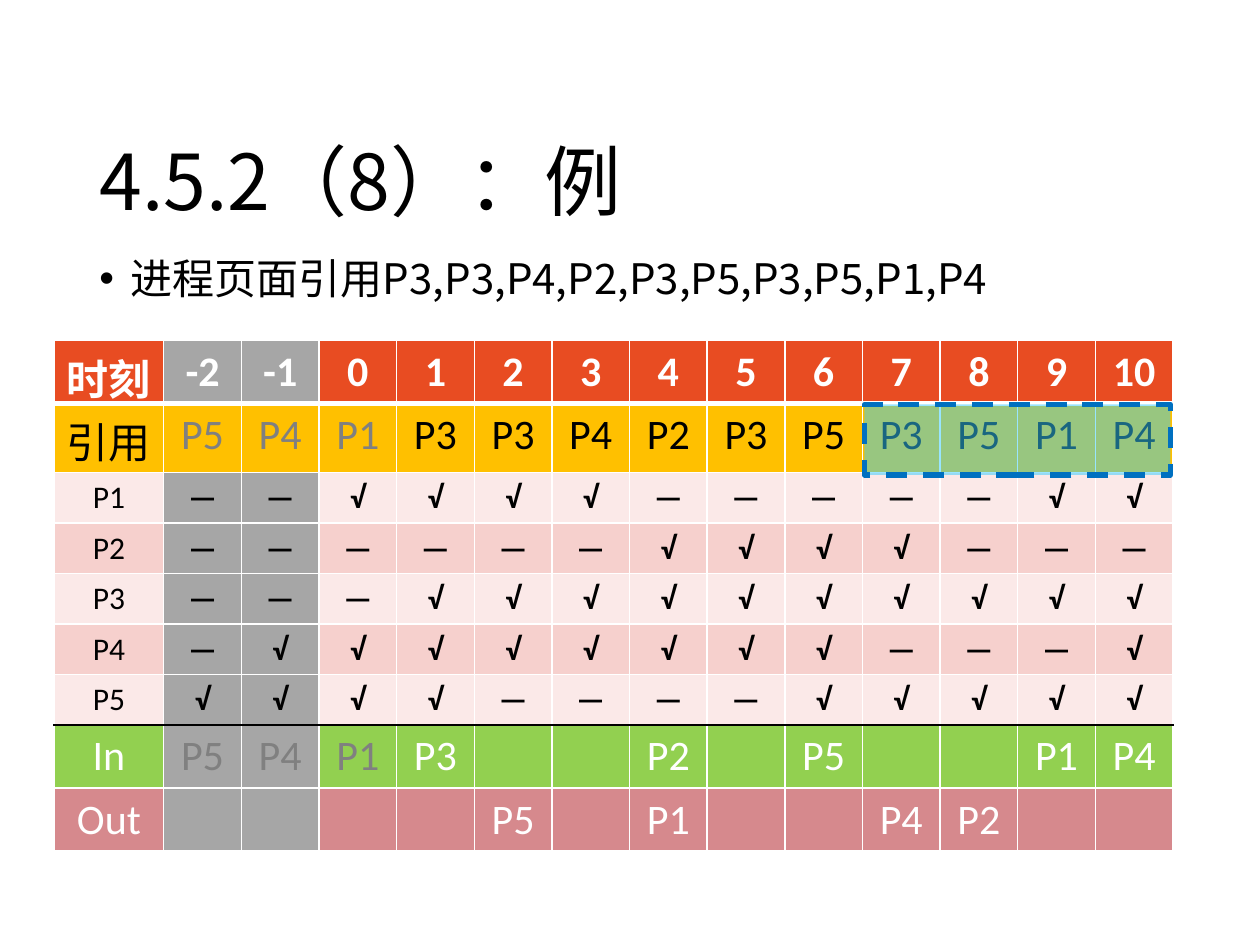
from lxml import etree
from pptx import Presentation
from pptx.dml.color import RGBColor
from pptx.enum.dml import MSO_LINE
from pptx.enum.shapes import MSO_SHAPE
from pptx.enum.text import MSO_ANCHOR, PP_ALIGN
from pptx.oxml.ns import qn
from pptx.util import Inches, Pt

RECT = MSO_SHAPE.RECTANGLE
DASH = MSO_LINE.DASH
TOP, BOTTOM = MSO_ANCHOR.TOP, MSO_ANCHOR.BOTTOM
CENTER = PP_ALIGN.CENTER

CJK, LATIN = "Noto Sans CJK SC", "Calibri"
WHITE, BLACK, GREY, DIM = "FFFFFF", "000000", "A6A6A6", "808080"

TIMES = [str(t) for t in range(-2, 11)]
REFERENCES = "P5 P4 P1 P3 P3 P4 P2 P3 P5 P3 P5 P1 P4".split()
RESIDENT = {
    "P1": "——√√√√—————√√",
    "P2": "——————√√√√———",
    "P3": "———√√√√√√√√√√",
    "P4": "—√√√√√√√√———√",
    "P5": "√√√√————√√√√√",
}
# Pages moved, keyed by time
PAGE_IN = {-2: "P5", -1: "P4", 0: "P1", 1: "P3", 4: "P2", 6: "P5", 9: "P1", 10: "P4"}
PAGE_OUT = {2: "P5", 4: "P1", 7: "P4", 8: "P2"}


def rgb(value):
    return RGBColor.from_string(value)


def moves(pages):
    return [pages.get(int(t), "") for t in TIMES]


class SlideBuilder:
    def __init__(self, slide):
        self.s = slide

    def run(self, p, text, font, size, color, bold=False):
        r = p.add_run()
        r.text = text
        for name, value in {"name": font, "size": Pt(size), "bold": bold}.items():
            setattr(r.font, name, value)
        r.font.color.rgb = rgb(color)
        ea = etree.SubElement(r.font._element, qn("a:ea"))
        ea.set("typeface", CJK)

    def text(self, box, text, size, anchor=TOP, bullet=False):
        sp = self.s.shapes.add_textbox(*map(Inches, box))
        tf = sp.text_frame
        tf.word_wrap = True
        tf.vertical_anchor = anchor
        p = tf.paragraphs[0]
        p.line_spacing = 0.9
        if bullet:
            pPr = p._p.get_or_add_pPr()
            pPr.set("marL", str(Inches(0.25)))
            pPr.set("indent", str(Inches(-0.25)))
            etree.SubElement(pPr, qn("a:buFont")).set("typeface", "Arial")
            etree.SubElement(pPr, qn("a:buChar")).set("char", "•")
        self.run(p, text, CJK, size, BLACK)

    def border(self, cell, **lines):
        tcPr = cell._tc.get_or_add_tcPr()
        for i, side in enumerate("LRTB"):
            color, width = lines.get(side, (WHITE, 1))
            ln = etree.Element(qn(f"a:ln{side}"), w=str(Pt(width)))
            fill = etree.SubElement(ln, qn("a:solidFill"))
            etree.SubElement(fill, qn("a:srgbClr")).set("val", color)
            tcPr.insert(i, ln)

    def table(self, left, top, widths, rows):
        heights = [row["height"] for row in rows]
        size = (left, top, sum(widths), sum(heights))
        table = self.s.shapes.add_table(len(rows), len(widths), *map(Inches, size)).table
        for col, width in zip(table.columns, widths):
            col.width = Inches(width)
        for i, row in enumerate(rows):
            table.rows[i].height = Inches(row["height"])
            for j, text in enumerate(row["texts"]):
                cell = table.cell(i, j)
                cell.fill.solid()
                cell.fill.fore_color.rgb = rgb(row["past"] if j in (1, 2) else row["fill"])
                self.border(cell, **row.get("lines", {}))
                p = cell.text_frame.paragraphs[0]
                p.alignment = CENTER
                if text:
                    dim = row.get("dim") and j in (1, 2, 3)
                    bold = row["bold_head"] if j == 0 else row["bold"]
                    self.run(p, text, LATIN, row["size"], DIM if dim else row["color"], bold)

    def highlight(self, box, fill, line, opacity):
        sp = self.s.shapes.add_shape(RECT, *map(Inches, box))
        sp.shadow.inherit = False
        sp.fill.solid()
        sp.fill.fore_color.rgb = rgb(fill)
        clr = sp._element.spPr.find(qn("a:solidFill"))[0]
        etree.SubElement(clr, qn("a:alpha")).set("val", str(opacity * 1000))
        sp.line.color.rgb = rgb(line)
        sp.line.width = Pt(3)
        sp.line.dash_style = DASH


def make_row(head, texts, height, fill, color, **extra):
    row = dict(texts=[head, *texts], height=height, fill=fill, color=color,
               past=GREY, size=24, bold=False, bold_head=False)
    return {**row, **extra}


def main():
    prs = Presentation()
    prs.slide_width, prs.slide_height = Inches(10), Inches(7.5)
    b = SlideBuilder(prs.slides.add_slide(prs.slide_layouts[6]))

    # Title and reference string
    b.text((0.69, 0.4, 8.62, 1.45), "4.5.2（8）：例", 44, anchor=BOTTOM)
    b.text((0.69, 2, 8.62, 0.56), "进程页面引用P3,P3,P4,P2,P3,P5,P3,P5,P1,P4", 24, bullet=True)

    # Page table: times, references, resident pages, moves
    rows = [
        make_row("时刻", TIMES, 0.45, "E84C22", WHITE, bold=True, bold_head=True,
                 lines={"B": (WHITE, 3)}),
        make_row("引用", REFERENCES, 0.55, "FFC000", BLACK, past="FFC000", dim=True,
                 lines={"T": (WHITE, 3)}),
    ]
    for i, (page, marks) in enumerate(RESIDENT.items()):
        rows.append(make_row(page, marks, 0.35, ("FBE9E8", "F6D0CD")[i % 2], BLACK,
                             size=18, bold=True))
    rows[-1]["lines"] = {"B": (BLACK, 1)}
    rows += [
        make_row("In", moves(PAGE_IN), 0.44, "92D050", WHITE, dim=True,
                 lines={"T": (BLACK, 1)}),
        make_row("Out", moves(PAGE_OUT), 0.44, "D6898D", WHITE),
    ]
    b.table(0.43, 2.7, [0.87] + [8.01 / len(TIMES)] * len(TIMES), rows)

    # Window over the last four references
    b.highlight((6.86, 3.21, 2.43, 0.56), "33CCFF", "0070C0", 50)

    prs.save("out.pptx")


if __name__ == "__main__":
    main()
